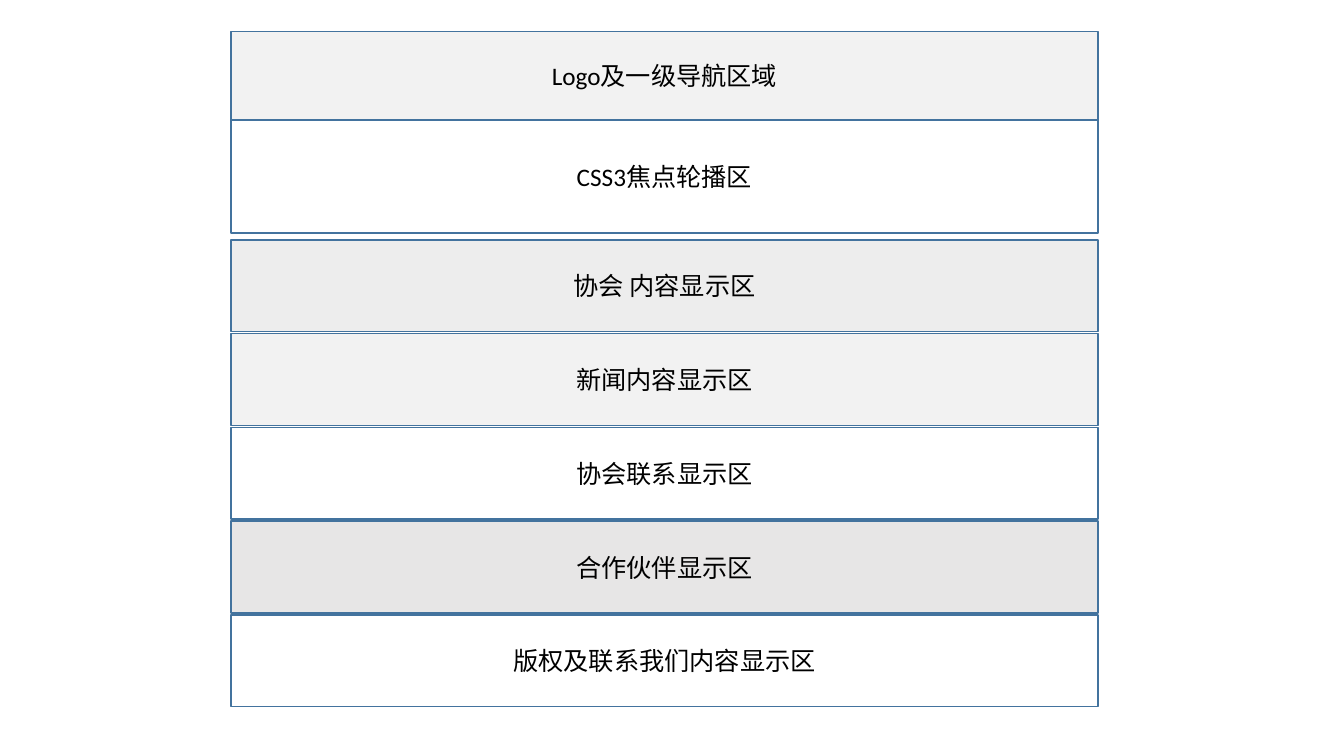
from pptx import Presentation
from pptx.dml.color import RGBColor
from pptx.enum.shapes import MSO_SHAPE
from pptx.enum.text import MSO_ANCHOR, PP_ALIGN
from pptx.util import Inches, Pt

SLIDE_WIDTH, SLIDE_HEIGHT = 13.33, 7.5
BAND_LEFT, BAND_WIDTH = 2.29, 8.6
HEADER_BANDS = [
    ("Logo及一级导航区域", "F2F2F2", 0.31, 0.88),
    ("CSS3焦点轮播区", "FFFFFF", 1.19, 1.12),
]
CONTENT_TOP, CONTENT_PITCH, CONTENT_HEIGHT = 2.38, 0.93, 0.91
CONTENT_BANDS = [
    ("协会 内容显示区", "EDEDED"),
    ("新闻内容显示区", "F2F2F2"),
    ("协会联系显示区", "FFFFFF"),
    ("合作伙伴显示区", "E7E6E6"),
    ("版权及联系我们内容显示区", "FFFFFF"),
]
LABEL_FORMAT = {"name": "Calibri", "size": Pt(18)}


def paint(color_format, color):
    color_format.rgb = RGBColor.from_string(color)


def add_panel(page, left, top, width, height, fill, line):
    panel = page.shapes.add_shape(
        MSO_SHAPE.RECTANGLE, *map(Inches, (left, top, width, height))
    )
    panel.shadow.inherit = False
    panel.fill.solid()
    paint(panel.fill.fore_color, fill)
    paint(panel.line.color, line)
    panel.line.width = Pt(1)
    return panel


def add_band(page, label, fill, top, height):
    band = add_panel(page, BAND_LEFT, top, BAND_WIDTH, height, fill, "43739E")
    frame = band.text_frame
    frame.word_wrap = True
    frame.vertical_anchor = MSO_ANCHOR.MIDDLE
    para = frame.paragraphs[0]
    para.alignment = PP_ALIGN.CENTER
    span = para.add_run()
    span.text = label
    for name, value in LABEL_FORMAT.items():
        setattr(span.font, name, value)
    paint(span.font.color, "000000")


def main():
    deck = Presentation()
    deck.slide_width, deck.slide_height = Inches(SLIDE_WIDTH), Inches(SLIDE_HEIGHT)
    page = deck.slides.add_slide(deck.slide_layouts[6])
    add_panel(page, 2.24, 0.21, 8.72, 7.13, "FFFFFF", "FFFFFF")
    for label, fill, top, height in HEADER_BANDS:
        add_band(page, label, fill, top, height)
    for row, (label, fill) in enumerate(CONTENT_BANDS):
        add_band(page, label, fill, CONTENT_TOP + row * CONTENT_PITCH, CONTENT_HEIGHT)
    deck.save("out.pptx")


main()
